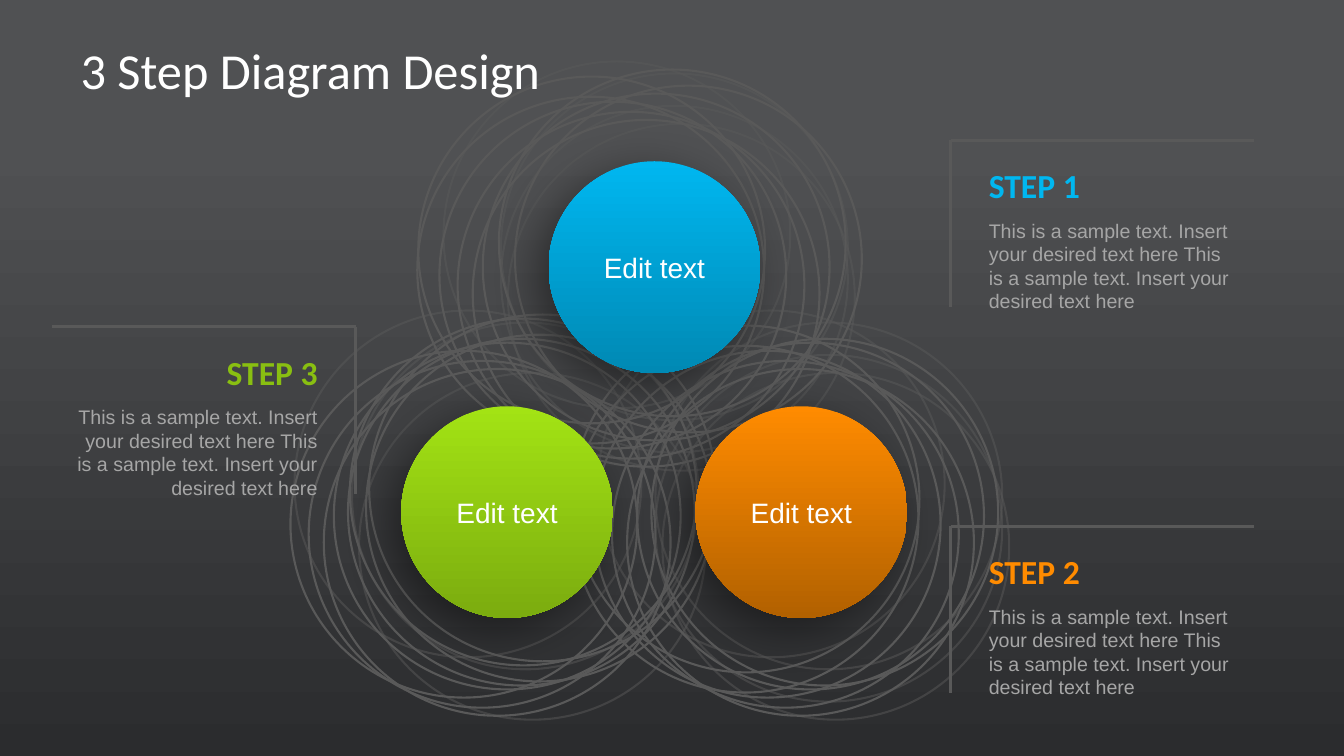
from lxml import etree
from pptx import Presentation
from pptx.dml.color import RGBColor
from pptx.enum.shapes import MSO_CONNECTOR, MSO_SHAPE
from pptx.enum.text import MSO_ANCHOR, MSO_AUTO_SIZE, PP_ALIGN
from pptx.oxml.ns import qn
from pptx.util import Pt

OVAL, LINE = MSO_SHAPE.OVAL, MSO_CONNECTOR.STRAIGHT
LEFT, CENTER, RIGHT = PP_ALIGN.LEFT, PP_ALIGN.CENTER, PP_ALIGN.RIGHT
TOP, MIDDLE, BOTTOM = MSO_ANCHOR.TOP, MSO_ANCHOR.MIDDLE, MSO_ANCHOR.BOTTOM
GROW = MSO_AUTO_SIZE.SHAPE_TO_FIT_TEXT

GREY = "595959"
RING_SIZE, BALL_SIZE = 247.7, 151.2
SAMPLE = "This is a sample text. Insert your desired text here " * 2

# x, y within the cluster, faded, and the clusters (top, right, left) that hold it
RINGS = [
    (46.8, 23, False, "TRL"), (18.7, 0, True, "TRL"), (59.8, 8.6, True, "TRL"),
    (39.6, 41.8, False, "TRL"), (28.8, 36, False, "TRL"), (15.8, 28.8, False, "TRL"),
    (59.8, 31.7, True, "TR"), (56.9, 20.2, False, "RL"), (64.8, 44.6, True, "TRL"),
    (58.3, 5.8, False, "TL"), (0, 25.2, False, "TR"), (0.7, 10.8, False, "TR"),
    (69.8, 17.3, False, "TL"), (72, 2.9, False, "L"),
]
CLUSTERS = [("T", 298.1, 43.9), ("R", 408.4, 221.8), ("L", 191.7, 221.8)]
BALLS = [
    (391.9, 115.2, "00B7F0", "0089B4"),
    (286.6, 290.2, "A3E314", "7BAC0F"),
    (496.8, 290.2, "FF8B00", "B26100"),
]
# corner x, corner y, title, colour, side the frame opens to (1 right, -1 left)
CALLOUTS = [
    (679, 100.1, "STEP 1", "00B7F0", 1),
    (679, 375.8, "STEP 2", "FF8B00", 1),
    (254.2, 233.3, "STEP 3", "89BF11", -1),
]


def rgb(color):
    return RGBColor.from_string(color)


def gradient(fill, start, end, first=0):
    """Fill from top to bottom."""
    fill.gradient()
    fill.gradient_angle = 270
    for stop, color, pos in zip(fill.gradient_stops, (start, end), (first, 1)):
        stop.color.rgb = rgb(color)
        stop.position = pos


def write(tf, text, size, color, font="Arial", bold=False, align=LEFT,
          anchor=TOP, inset=(7.2, 3.6)):
    tf.word_wrap = True
    tf.vertical_anchor = anchor
    tf.margin_left = tf.margin_right = Pt(inset[0])
    tf.margin_top = tf.margin_bottom = Pt(inset[1])
    p = tf.paragraphs[0]
    p.alignment = align
    r = p.add_run()
    r.text = text
    r.font.name, r.font.size, r.font.bold = font, Pt(size), bold
    r.font.color.rgb = rgb(color)


def add_text(s, x, y, w, h, text, size, color, grow=True, **fmt):
    tf = s.shapes.add_textbox(Pt(x), Pt(y), Pt(w), Pt(h)).text_frame
    write(tf, text, size, color, **fmt)
    if grow:
        tf.auto_size = GROW


def add_circle(s, x, y, size):
    sp = s.shapes.add_shape(OVAL, Pt(x), Pt(y), Pt(size), Pt(size))
    sp.shadow.inherit = False
    return sp


def add_alpha(color_el, percent):
    etree.SubElement(color_el, qn("a:alpha"), val=str(percent * 1000))


def add_shadow(sp, blur, dist, angle, percent):
    effects = sp._element.spPr.find(qn("a:effectLst"))
    shadow = etree.SubElement(
        effects, qn("a:outerShdw"), blurRad=str(Pt(blur)), dist=str(Pt(dist)),
        dir=str(angle * 60000), algn="tr", rotWithShape="0")
    add_alpha(etree.SubElement(shadow, qn("a:srgbClr"), val="000000"), percent)


def add_rings(s, x, y, cluster):
    for dx, dy, faded, members in RINGS:
        if cluster not in members:
            continue
        sp = add_circle(s, x + dx, y + dy, RING_SIZE)
        sp.fill.background()
        sp.line.color.rgb = rgb(GREY)
        sp.line.width = Pt(1.5)
        if faded:
            add_alpha(next(sp.line._ln.iter(qn("a:srgbClr"))), 50)


def add_ball(s, x, y, light, dark):
    sp = add_circle(s, x, y, BALL_SIZE)
    gradient(sp.fill, light, dark)
    sp.line.fill.background()
    add_shadow(sp, blur=34, dist=12, angle=135, percent=44)
    write(sp.text_frame, "Edit text", 20, "FFFFFF", align=CENTER,
          anchor=MIDDLE, inset=(0, 0))


def add_line(s, x1, y1, x2, y2):
    line = s.shapes.add_connector(LINE, Pt(x1), Pt(y1), Pt(x2), Pt(y2))
    line.line.color.rgb = rgb(GREY)
    line.line.width = Pt(2.25)
    etree.SubElement(line._element.spPr, qn("a:effectLst"))


def add_callout(s, x, y, title, color, side):
    add_line(s, x, y, x, y + 119.5)
    add_line(s, x, y, x + side * 216.7, y)
    width = 190.4
    left = x + 20.2 if side > 0 else x - 20.2 - width
    align = LEFT if side > 0 else RIGHT
    add_text(s, left, y + 14.4, width, 36, title, 24, color, font="Calibri",
             bold=True, align=align, anchor=BOTTOM)
    add_text(s, left, y + 52.6, width, 75, SAMPLE.strip(), 14, "A6A6A6", align=align)


def add_diagram_slide(prs):
    s = prs.slides.add_slide(prs.slide_layouts[6])
    gradient(s.background.fill, "505153", "2B2C2E", first=0.19)
    for cluster, x, y in CLUSTERS:
        add_rings(s, x, y, cluster)
    for ball in BALLS:
        add_ball(s, *ball)
    add_text(s, 48, 21.6, 864, 56.2, "3 Step Diagram Design", 36, "FFFFFF",
             grow=False, font="Calibri", anchor=MIDDLE, inset=(9.6, 4.8))
    for callout in CALLOUTS:
        add_callout(s, *callout)


def main():
    prs = Presentation()
    prs.slide_width, prs.slide_height = Pt(960), Pt(540)
    add_diagram_slide(prs)
    prs.save("out.pptx")


if __name__ == "__main__":
    main()
